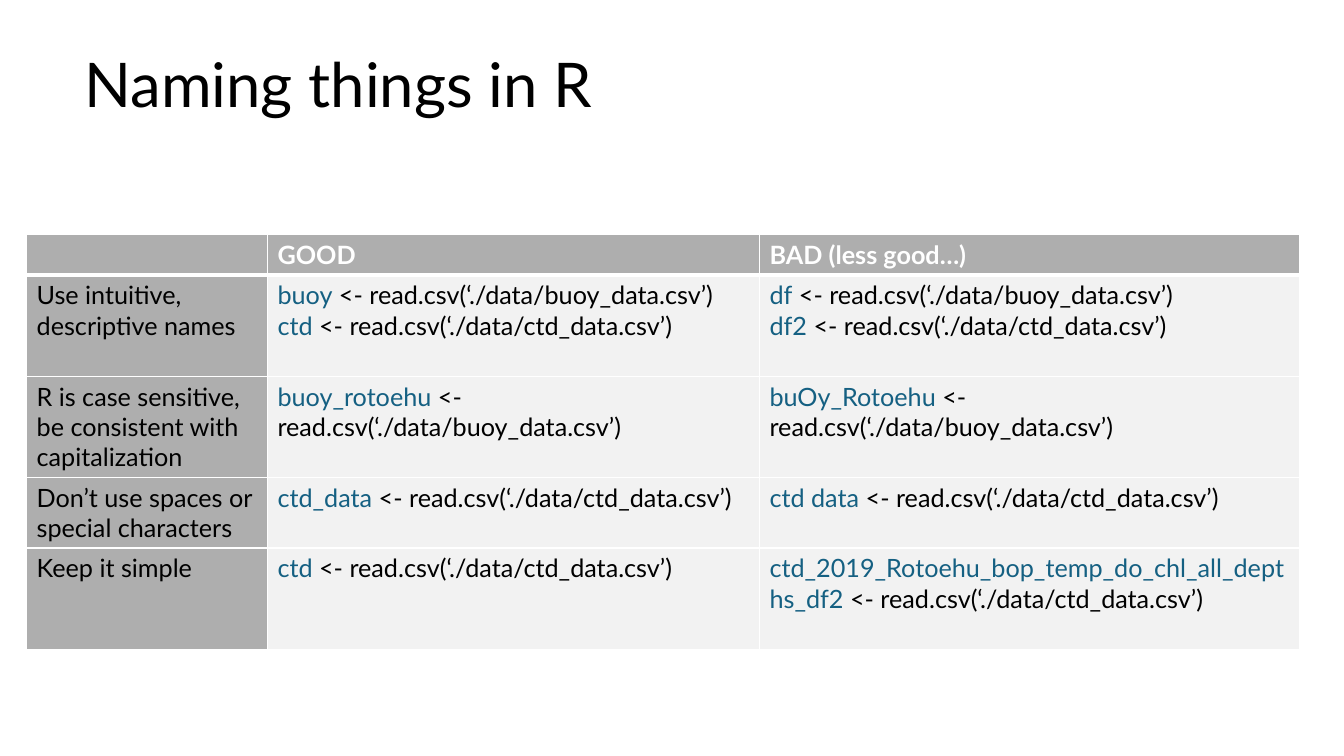
"""Build the slide on naming things in R, with a table of good and bad names."""
from dataclasses import dataclass

from lxml.etree import SubElement
from pptx import Presentation
from pptx.dml.color import RGBColor
from pptx.enum.text import MSO_ANCHOR as Anchor
from pptx.oxml.ns import qn
from pptx.slide import Slide
from pptx.table import Table, _Cell as Cell
from pptx.text.text import _Paragraph as Paragraph
from pptx.util import Cm, Pt

BLACK = RGBColor(0x00, 0x00, 0x00)
WHITE = RGBColor(0xFF, 0xFF, 0xFF)
GRAY = RGBColor(0xAE, 0xAE, 0xAE)
PALE = RGBColor(0xF2, 0xF2, 0xF2)
TEAL = RGBColor(0x15, 0x60, 0x82)
FONT = "Lato"
THIN, THICK = Pt(1), Pt(3)

HEADINGS = ("", "GOOD", "BAD (less good…)")
COLUMN_WIDTHS = (6.07, 12.4, 13.61)
HEADER_HEIGHT = 1.03


@dataclass(frozen=True)
class Assignment:
    name: str
    dataset: str

    @property
    def call(self) -> str:
        return f" <- read.csv(‘./data/{self.dataset}_data.csv’)"


@dataclass(frozen=True)
class Rule:
    advice: str
    good: tuple[Assignment, ...]
    bad: tuple[Assignment, ...]
    height: float


RULES = (
    Rule("Use intuitive, descriptive names",
         (Assignment("buoy", "buoy"), Assignment("ctd", "ctd")),
         (Assignment("df", "buoy"), Assignment("df2", "ctd")), 2.55),
    Rule("R is case sensitive, be consistent with capitalization",
         (Assignment("buoy_rotoehu", "buoy"),),
         (Assignment("buOy_Rotoehu", "buoy"),), 2.55),
    Rule("Don’t use spaces or special characters",
         (Assignment("ctd_data", "ctd"),),
         (Assignment("ctd data", "ctd"),), 1.78),
    Rule("Keep it simple",
         (Assignment("ctd", "ctd"),),
         (Assignment("ctd_2019_Rotoehu_bop_temp_do_chl_all_depths_df2", "ctd"),), 2.55),
)


def style_paragraph(paragraph: Paragraph, size: int, color: RGBColor, bold: bool = False) -> None:
    """Set the font shared by all runs of a paragraph."""
    font = paragraph.font
    font.name, font.size, font.bold = FONT, Pt(size), bold
    font.color.rgb = color


def style_cell(cell: Cell, fill: RGBColor, top: int = THIN, bottom: int = THIN) -> None:
    """Give a cell white borders and a solid fill."""
    properties = cell._tc.get_or_add_tcPr()
    for side, width in (("L", THIN), ("R", THIN), ("T", top), ("B", bottom)):
        line = SubElement(properties, qn(f"a:ln{side}"), w=str(width))
        SubElement(SubElement(line, qn("a:solidFill")), qn("a:srgbClr"), val=str(WHITE))
    cell.fill.solid()
    cell.fill.fore_color.rgb = fill


def write_label(cell: Cell, text: str, color: RGBColor, bold: bool = False) -> None:
    """Write a heading or a piece of advice."""
    cell.text = text
    style_paragraph(cell.text_frame.paragraphs[0], 18, color, bold)


def write_code(cell: Cell, assignments: tuple[Assignment, ...]) -> None:
    """Write one assignment a paragraph, with the name in teal."""
    frame = cell.text_frame
    for index, assignment in enumerate(assignments):
        paragraph = frame.add_paragraph() if index else frame.paragraphs[0]
        style_paragraph(paragraph, 18, BLACK)
        name = paragraph.add_run()
        name.text = assignment.name
        name.font.color.rgb = TEAL
        paragraph.add_run().text = assignment.call


def add_title(slide: Slide, text: str) -> None:
    """Add the slide title."""
    frame = slide.shapes.add_textbox(Cm(1.88), Cm(0.36), Cm(29.21), Cm(3.68)).text_frame
    frame.word_wrap = True
    frame.vertical_anchor = Anchor.MIDDLE
    paragraph = frame.paragraphs[0]
    paragraph.text = text
    paragraph.line_spacing = 0.9
    style_paragraph(paragraph, 44, BLACK)


def add_naming_table(slide: Slide) -> Table:
    """Add the table that sets good names against bad ones."""
    heights = (HEADER_HEIGHT, *(rule.height for rule in RULES))
    table = slide.shapes.add_table(
        len(heights), len(COLUMN_WIDTHS), Cm(0.67), Cm(5.9),
        Cm(sum(COLUMN_WIDTHS)), Cm(sum(heights))).table
    for column, width in zip(table.columns, COLUMN_WIDTHS):
        column.width = Cm(width)
    for row, height in zip(table.rows, heights):
        row.height = Cm(height)
    for index, heading in enumerate(HEADINGS):
        cell = table.cell(0, index)
        style_cell(cell, GRAY, bottom=THICK)
        write_label(cell, heading, WHITE, bold=True)
    for index, rule in enumerate(RULES, start=1):
        advice, good, bad = table.rows[index].cells
        for cell, fill in ((advice, GRAY), (good, PALE), (bad, PALE)):
            style_cell(cell, fill, top=THICK if index == 1 else THIN)
        write_label(advice, rule.advice, BLACK)
        write_code(good, rule.good)
        write_code(bad, rule.bad)
    return table


def main() -> None:
    """Build and save the presentation."""
    presentation = Presentation()
    presentation.slide_width, presentation.slide_height = Cm(33.87), Cm(19.05)
    slide = presentation.slides.add_slide(presentation.slide_layouts[6])
    add_title(slide, "Naming things in R")
    add_naming_table(slide)
    presentation.save("out.pptx")


if __name__ == "__main__":
    main()
